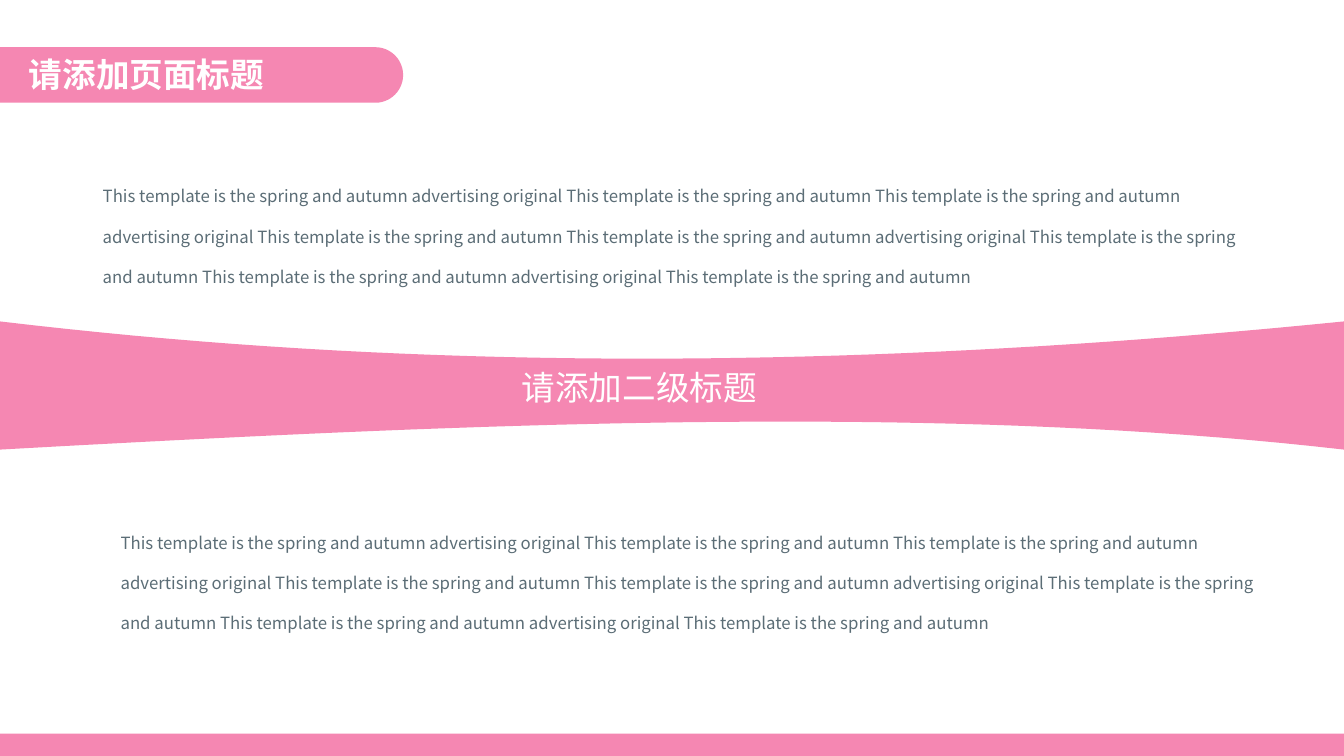
from dataclasses import dataclass

from lxml import etree
from pptx import Presentation
from pptx.dml.color import RGBColor
from pptx.enum.shapes import MSO_SHAPE
from pptx.enum.text import MSO_AUTO_SIZE, PP_ALIGN
from pptx.oxml.ns import qn
from pptx.util import Cm, Pt

RECTANGLE = MSO_SHAPE.RECTANGLE
ROUNDED = MSO_SHAPE.ROUNDED_RECTANGLE
FIT_SHAPE = MSO_AUTO_SIZE.SHAPE_TO_FIT_TEXT
JUSTIFY = PP_ALIGN.JUSTIFY
LEFT = PP_ALIGN.LEFT


@dataclass(frozen=True)
class Theme:
    pink: RGBColor = RGBColor(0xF5, 0x87, 0xB2)
    white: RGBColor = RGBColor(0xFF, 0xFF, 0xFF)
    slate: RGBColor = RGBColor(0x5B, 0x6D, 0x76)
    font: str = "Noto Sans CJK SC"
    subtitle_font: str = "Noto Sans CJK JP"
    heading_size: Pt = Pt(24)
    body_size: Pt = Pt(12)


THEME = Theme()
SLIDE_WIDTH, SLIDE_HEIGHT = 33.87, 19.05
CURVE_STEPS = 40
SENTENCE = "This template is the spring and autumn"
BODY_TEXT = " ".join([f"{SENTENCE} advertising original {SENTENCE}"] * 4)

HEADING = {"size": THEME.heading_size, "color": THEME.white, "name": THEME.font}
BODY = {"size": THEME.body_size, "color": THEME.slate, "name": THEME.font}


def paint(shape):
    shape.shadow.inherit = False
    shape.fill.solid()
    shape.fill.fore_color.rgb = THEME.pink
    shape.line.fill.background()


def add_block(slide, kind, left, top, width, height):
    shape = slide.shapes.add_shape(kind, Cm(left), Cm(top), Cm(width), Cm(height))
    paint(shape)
    return shape


def bezier_points(start, control_1, control_2, end):
    """Return evenly stepped points along a cubic curve, start and end included."""
    points = []
    for step in range(CURVE_STEPS + 1):
        t = step / CURVE_STEPS
        weights = ((1 - t) ** 3, 3 * t * (1 - t) ** 2, 3 * t * t * (1 - t), t ** 3)
        points.append(tuple(
            Cm(sum(weight * value for weight, value in zip(weights, values)))
            for values in zip(start, control_1, control_2, end)
        ))
    return points


def add_curved_band(slide):
    upper = bezier_points((0, 8.1), (11.28, 9.45), (22.43, 9.25), (SLIDE_WIDTH, 8.1))
    lower = bezier_points((SLIDE_WIDTH, 11.33), (23.37, 10.13), (11.58, 10.69), (0, 11.33))
    first, *others = upper + lower
    builder = slide.shapes.build_freeform(*first)
    builder.add_line_segments(others, close=True)
    paint(builder.convert_to_shape())


def add_text(slide, text, left, top, width, height, style, alignment=LEFT, spacing=1.0):
    box = slide.shapes.add_textbox(Cm(left), Cm(top), Cm(width), Cm(height))
    frame = box.text_frame
    frame.word_wrap = True
    frame.auto_size = FIT_SHAPE
    paragraph = frame.paragraphs[0]
    paragraph.alignment = alignment
    paragraph.line_spacing = spacing
    run = paragraph.add_run()
    run.text = text
    for attribute, value in style.items():
        if attribute == "color":
            run.font.color.rgb = value
        else:
            setattr(run.font, attribute, value)
    east_asian = etree.SubElement(run.font._element, qn("a:ea"))
    east_asian.set("typeface", style["name"])


def main():
    presentation = Presentation()
    presentation.slide_width = Cm(SLIDE_WIDTH)
    presentation.slide_height = Cm(SLIDE_HEIGHT)
    slide = presentation.slides.add_slide(presentation.slide_layouts[6])

    for left, top in ((2.34, 4.06), (2.79, 12.78)):
        add_text(slide, BODY_TEXT, left, top, 29.67, 3.18, BODY, spacing=2.0)

    add_curved_band(slide)
    add_block(slide, RECTANGLE, 0, 18.49, SLIDE_WIDTH, 0.56)
    title_bar = add_block(slide, ROUNDED, -1.27, 1.19, 11.43, 1.4)
    title_bar.adjustments[0] = 0.5

    add_text(slide, "请添加页面标题", 0.48, 1.24, 8.97, 1.27,
             {**HEADING, "bold": True}, JUSTIFY)
    add_text(slide, "请添加二级标题", 12.9, 9.12, 7.26, 1.27,
             {**HEADING, "name": THEME.subtitle_font}, JUSTIFY)

    presentation.save("out.pptx")


if __name__ == "__main__":
    main()
